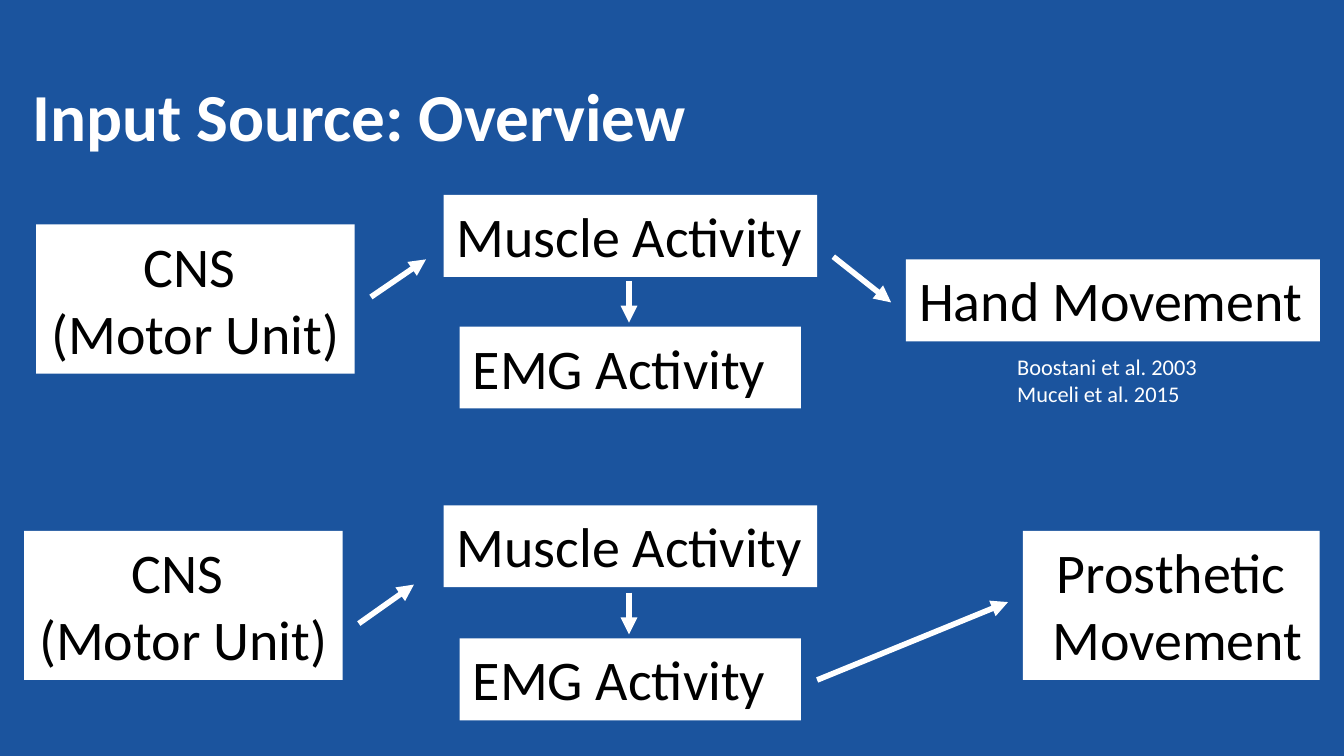
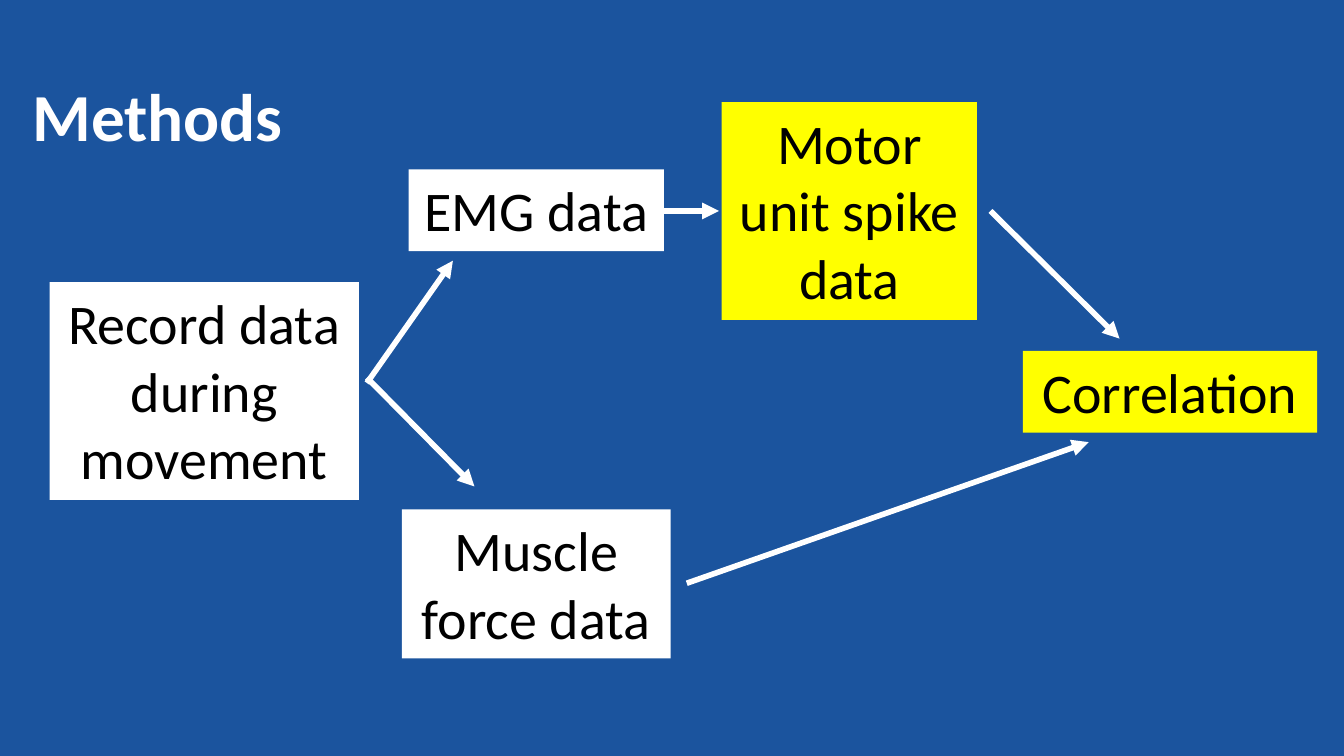
from dataclasses import dataclass

from lxml.etree import SubElement
from pptx import Presentation
from pptx.dml.color import RGBColor
from pptx.enum.shapes import MSO_CONNECTOR, MSO_SHAPE
from pptx.enum.text import MSO_ANCHOR, PP_ALIGN
from pptx.oxml.ns import qn
from pptx.presentation import Presentation as Deck
from pptx.slide import Slide
from pptx.text.text import TextFrame
from pptx.util import Inches, Pt

COLORS = {
    "background": "1B549E",
    "light": "FFFFFF",
    "highlight": "FFFF00",
    "ink": "000000",
}
FONT = "Calibri"
TITLE_ONLY = 5
ONE_LINE, TWO_LINES, THREE_LINES = 0.61, 1.11, 1.62


@dataclass(frozen=True)
class Stage:
    text: str
    left: float
    top: float
    width: float
    height: float = ONE_LINE
    align: PP_ALIGN = PP_ALIGN.CENTER
    fill: str = "light"


@dataclass(frozen=True)
class Arrow:
    start: tuple[float, float]
    end: tuple[float, float]


def color(name: str) -> RGBColor:
    return RGBColor.from_string(COLORS[name])


def write(frame: TextFrame, *paragraphs: str, size: float = 30,
          ink: str = "ink", bold: bool = False,
          align: PP_ALIGN = PP_ALIGN.LEFT, anchor: MSO_ANCHOR = MSO_ANCHOR.TOP,
          line_spacing: float = 1.0, inset: float = 0.05) -> None:
    """Fill a frame; a newline within a paragraph becomes a line break."""
    frame.word_wrap = True
    frame.vertical_anchor = anchor
    frame.margin_left = frame.margin_right = Inches(0.1)
    frame.margin_top = frame.margin_bottom = Inches(inset)
    for index, text in enumerate(paragraphs):
        paragraph = frame.add_paragraph() if index else frame.paragraphs[0]
        paragraph.text = text
        paragraph.alignment = align
        paragraph.line_spacing = line_spacing
        for run in paragraph.runs:
            run.font.name = FONT
            run.font.size = Pt(size)
            run.font.bold = bold
            run.font.color.rgb = color(ink)


def draw_stage(slide: Slide, stage: Stage) -> None:
    box = slide.shapes.add_shape(
        MSO_SHAPE.RECTANGLE, Inches(stage.left), Inches(stage.top),
        Inches(stage.width), Inches(stage.height))
    box.shadow.inherit = False
    box.fill.solid()
    box.fill.fore_color.rgb = color(stage.fill)
    box.line.fill.background()
    write(box.text_frame, stage.text, align=stage.align)


def draw_arrow(slide: Slide, arrow: Arrow) -> None:
    connector = slide.shapes.add_connector(
        MSO_CONNECTOR.STRAIGHT, *map(Inches, arrow.start + arrow.end))
    connector.line.color.rgb = color("light")
    connector.line.width = Pt(3)
    properties = connector._element.spPr
    SubElement(properties.find(qn("a:ln")), qn("a:tailEnd"), type="triangle")
    SubElement(properties, qn("a:effectLst"))


def add_flow_slide(deck: Deck, heading: str, stages: list[Stage],
                   arrows: list[Arrow]) -> Slide:
    slide = deck.slides.add_slide(deck.slide_layouts[TITLE_ONLY])
    title = slide.shapes.title
    title.left, title.top = Inches(0.14), Inches(0.42)
    title.width, title.height = Inches(9.6), Inches(0.84)
    write(title.text_frame, heading, size=36, ink="light", bold=True,
          anchor=MSO_ANCHOR.BOTTOM, line_spacing=0.9, inset=0.1)
    for arrow in arrows:
        draw_arrow(slide, arrow)
    for stage in stages:
        draw_stage(slide, stage)
    return slide


def muscle_pathway(cns_left: float, cns_top: float, muscle_top: float,
                   emg_top: float, cns_arrow: Arrow) -> tuple[list[Stage], list[Arrow]]:
    """The stages both pathways share: CNS to muscle, muscle to EMG."""
    stages = [
        Stage("CNS \n(Motor Unit)", cns_left, cns_top, 2.37, TWO_LINES),
        Stage("Muscle Activity", 3.3, muscle_top, 2.78, align=PP_ALIGN.LEFT),
        Stage("EMG Activity", 3.42, emg_top, 2.54, align=PP_ALIGN.LEFT),
    ]
    emg_arrow = Arrow((4.68, emg_top - 0.34), (4.68, emg_top - 0.03))
    return stages, [cns_arrow, emg_arrow]


def add_overview(deck: Deck) -> None:
    hand_stages, hand_arrows = muscle_pathway(
        0.27, 1.67, 1.45, 2.43, Arrow((2.76, 2.21), (3.17, 1.93)))
    prosthetic_stages, prosthetic_arrows = muscle_pathway(
        0.18, 3.95, 3.76, 4.75, Arrow((2.67, 4.64), (3.08, 4.35)))
    stages = hand_stages + prosthetic_stages + [
        Stage("Hand Movement", 6.74, 1.93, 3.08, align=PP_ALIGN.LEFT),
        Stage("Prosthetic\n Movement", 7.61, 3.95, 2.21, TWO_LINES),
    ]
    arrows = hand_arrows + prosthetic_arrows + [
        Arrow((6.2, 1.91), (6.63, 2.25)),
        Arrow((6.08, 5.06), (7.5, 4.48)),
    ]
    slide = add_flow_slide(deck, "Input Source: Overview", stages, arrows)
    references = slide.shapes.add_textbox(
        Inches(7.47), Inches(2.58), Inches(1.62), Inches(0.5))
    write(references.text_frame, "Boostani et al. 2003", "Muceli et al. 2015",
          size=12, ink="light")


def add_methods(deck: Deck) -> None:
    stages = [
        Stage("Record data during movement", 0.37, 2.1, 2.3, THREE_LINES),
        Stage("EMG data", 3.04, 1.26, 1.9),
        Stage("Muscle force data", 2.99, 3.79, 2, TWO_LINES),
        Stage("Motor unit spike data", 5.37, 0.76, 1.9, THREE_LINES, fill="highlight"),
        Stage("Correlation", 7.61, 2.61, 2.19, fill="highlight"),
    ]
    arrows = [
        Arrow((4.87, 1.57), (5.35, 1.57)),
        Arrow((2.73, 2.85), (3.37, 1.94)),
        Arrow((2.73, 2.81), (3.53, 3.62)),
        Arrow((7.37, 1.57), (8.33, 2.52)),
        Arrow((5.11, 4.34), (8.1, 3.29)),
    ]
    add_flow_slide(deck, "Methods", stages, arrows)


def main() -> None:
    deck = Presentation()
    deck.slide_width = Inches(10)
    deck.slide_height = Inches(10 * 9 / 16)
    backdrop = deck.slide_master.background.fill
    backdrop.solid()
    backdrop.fore_color.rgb = color("background")
    add_overview(deck)
    add_methods(deck)
    deck.save("out.pptx")


if __name__ == "__main__":
    main()
